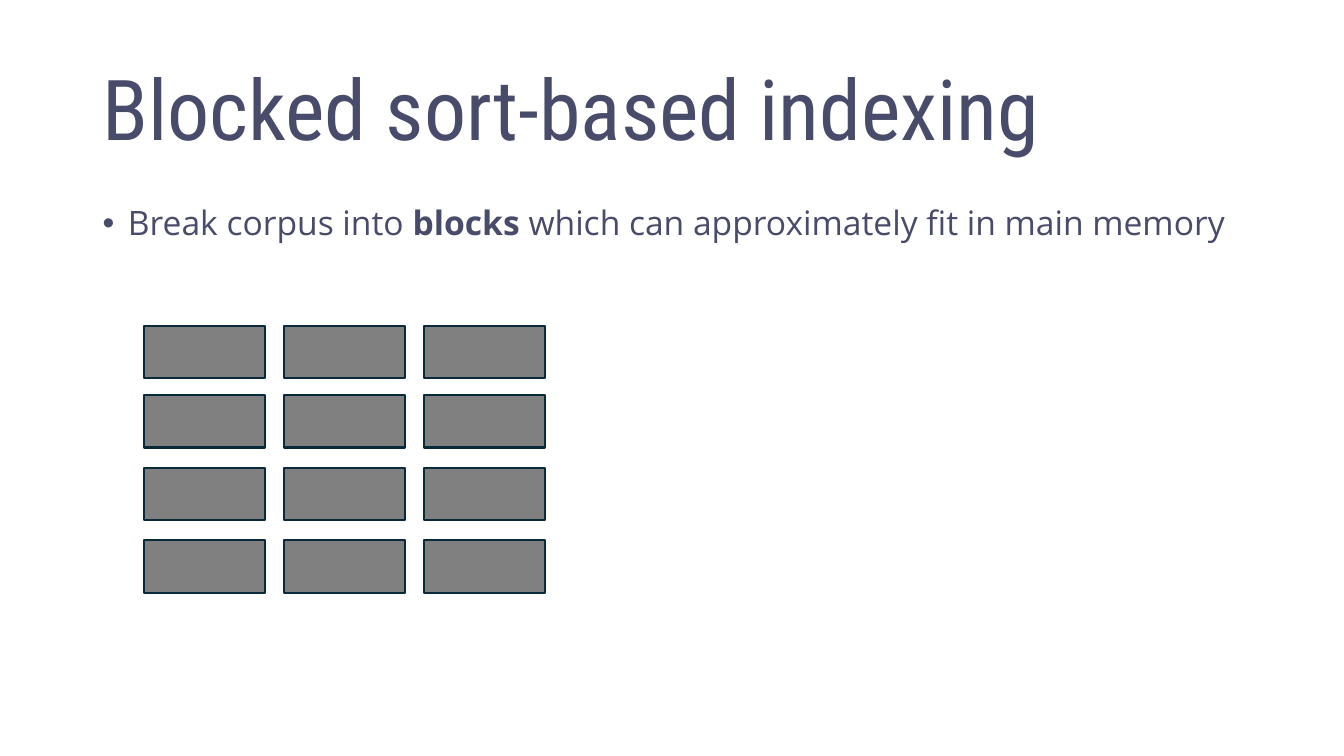
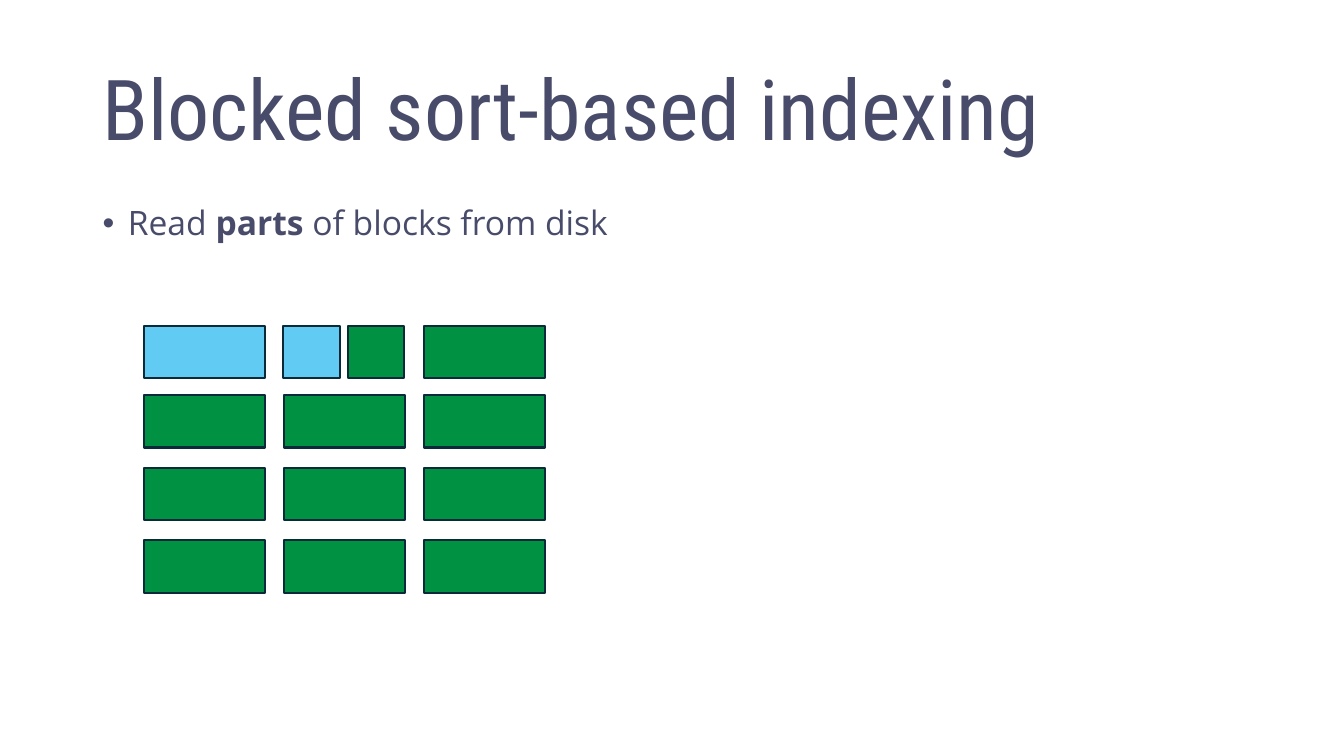
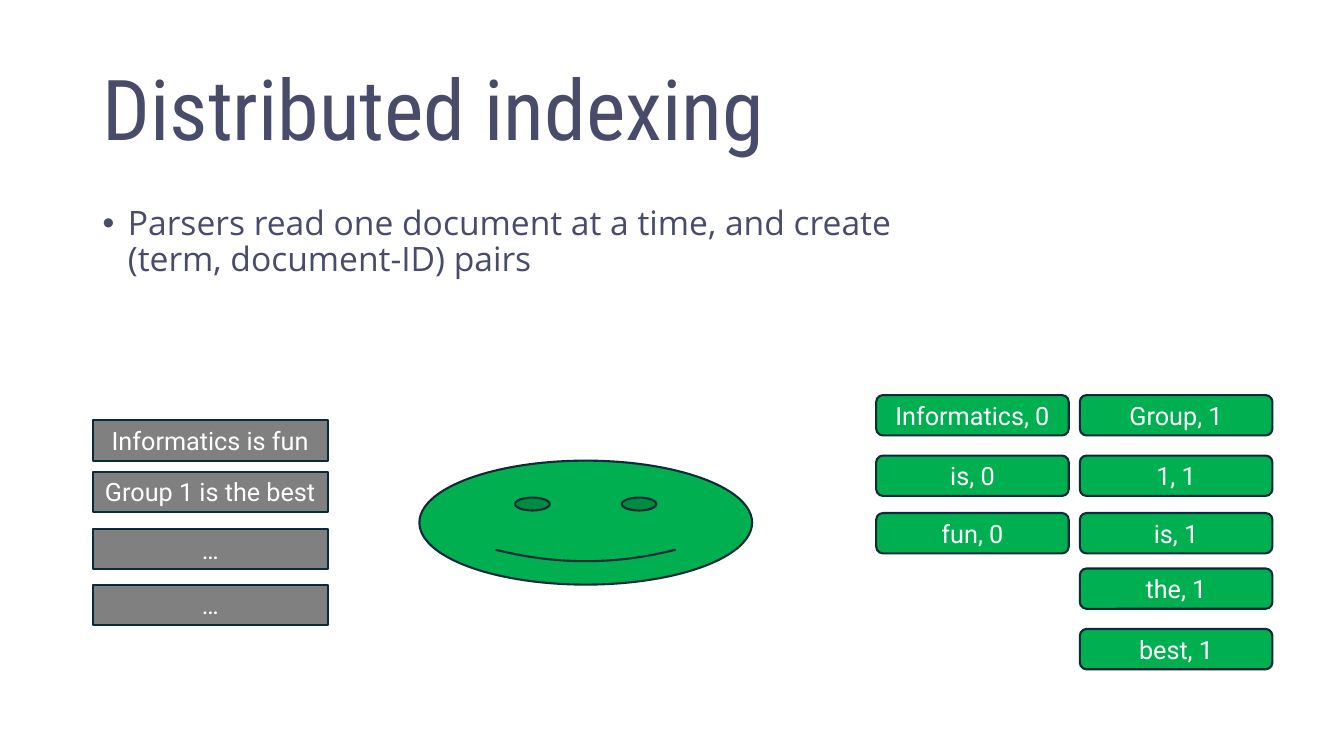
import dataclasses

import pptx
import pptx.dml.color
import pptx.enum.shapes
import pptx.enum.text
import pptx.oxml.ns
import pptx.util
from lxml import etree

PX = 9144
SHAPE = pptx.enum.shapes.MSO_SHAPE
ALIGN = pptx.enum.text.PP_ALIGN
ANCHOR = pptx.enum.text.MSO_ANCHOR


@dataclasses.dataclass(frozen=True)
class Theme:
    ink: str = "484B6A"
    outline: str = "092A39"
    gray: str = "808080"
    green: str = "009242"
    bright_green: str = "00B050"
    blue: str = "61CBF4"
    white: str = "FFFFFF"
    title_font: str = "Roboto Condensed"
    body_font: str = "Open Sans"
    label_font: str = "Roboto"
    title_size: int = 60
    body_size: int = 24
    label_size: int = 18
    outline_width: float = 1.5


THEME = Theme()

BLOCK_LEFTS = [143 + 139 * column for column in range(3)]
BLOCK_TOPS = (323, 392, 464, 536)
BLOCK_WIDTH, BLOCK_HEIGHT = 120, 52
PART_WIDTH = 56
LABEL_HEIGHT = 40


def px(length):
    return pptx.util.Emu(length * PX)


def rgb(color):
    return pptx.dml.color.RGBColor.from_string(color)


def write(frame, text, *, font, size, color, align=ALIGN.LEFT,
          anchor=ANCHOR.TOP, line_spacing=None, space_before=None, bullet=False):
    """Write text into a frame; asterisks enclose bold passages."""
    frame.word_wrap = True
    frame.vertical_anchor = anchor
    paragraph = frame.paragraphs[0]
    paragraph.alignment = align
    if line_spacing is not None:
        paragraph.line_spacing = line_spacing
    if space_before is not None:
        paragraph.space_before = pptx.util.Pt(space_before)
    if bullet:
        properties = paragraph._p.get_or_add_pPr()
        properties.set("marL", str(px(25)))
        properties.set("indent", str(-px(25)))
        qn = pptx.oxml.ns.qn
        etree.SubElement(properties, qn("a:buFont"), typeface="Arial")
        etree.SubElement(properties, qn("a:buChar"), char="•")
    for index, passage in enumerate(text.split("*")):
        for line_number, line in enumerate(passage.split("\n")):
            if line_number:
                paragraph.add_line_break()
            run = paragraph.add_run()
            run.text = line
            run.font.name = font
            run.font.size = pptx.util.Pt(size)
            run.font.bold = index % 2 == 1
            run.font.color.rgb = rgb(color)


class Deck:
    def __init__(self, theme):
        self.theme = theme
        self.presentation = pptx.Presentation()
        self.presentation.slide_width = px(1333)
        self.presentation.slide_height = px(750)
        self.slide = None

    def add_slide(self, title, point):
        theme = self.theme
        blank = self.presentation.slide_layouts[6]
        self.slide = self.presentation.slides.add_slide(blank)
        self.text(92, 40, 1150, 145, title, font=theme.title_font,
                  size=theme.title_size, anchor=ANCHOR.MIDDLE)
        self.text(92, 200, 1150, 530, point, font=theme.body_font,
                  size=theme.body_size, space_before=10, bullet=True)

    def text(self, left, top, width, height, text, **style):
        box = self.slide.shapes.add_textbox(px(left), px(top), px(width), px(height))
        write(box.text_frame, text, color=self.theme.ink, line_spacing=0.9, **style)

    def shape(self, left, top, width, height, fill, kind=SHAPE.RECTANGLE, label=None):
        theme = self.theme
        shape = self.slide.shapes.add_shape(
            kind, px(left), px(top), px(width), px(height))
        shape.shadow.inherit = False
        shape.fill.solid()
        shape.fill.fore_color.rgb = rgb(fill)
        shape.line.color.rgb = rgb(theme.outline)
        shape.line.width = pptx.util.Pt(theme.outline_width)
        if label:
            write(shape.text_frame, label, font=theme.label_font,
                  size=theme.label_size, color=theme.white,
                  align=ALIGN.CENTER, anchor=ANCHOR.MIDDLE)

    def blocks(self, fill, skip=()):
        for column, left in enumerate(BLOCK_LEFTS):
            for row, top in enumerate(BLOCK_TOPS):
                if (column, row) not in skip:
                    self.shape(left, top, BLOCK_WIDTH, BLOCK_HEIGHT, fill)

    def labels(self, left, width, tops, labels, fill, kind=SHAPE.RECTANGLE):
        for top, label in zip(tops, labels):
            self.shape(left, top, width, LABEL_HEIGHT, fill, kind, label)


def block_slides(deck):
    theme = deck.theme
    title = "Blocked sort-based indexing"
    deck.add_slide(title, "Break corpus into *blocks *which can approximately fit in main memory")
    deck.blocks(theme.gray)

    deck.add_slide(title, "Read *parts *of blocks from disk")
    deck.blocks(theme.green, skip={(0, 0), (1, 0)})
    top = BLOCK_TOPS[0]
    deck.shape(BLOCK_LEFTS[0], top, BLOCK_WIDTH, BLOCK_HEIGHT, theme.blue)
    for left, fill in ((281, theme.blue), (345, theme.green)):
        deck.shape(left, top, PART_WIDTH, BLOCK_HEIGHT, fill)


def parser_slide(deck):
    theme = deck.theme
    deck.add_slide(
        "Distributed indexing",
        "Parsers read one document at a time, and create\n(term, document-ID) pairs")
    documents = ("Informatics is fun", "Group 1 is the best", "…", "…")
    deck.labels(92, 233, (417, 468, 525, 580), documents, theme.gray)
    deck.shape(416, 457, 330, 123, theme.bright_green, SHAPE.SMILEY_FACE)

    pair_tops = (392, 452, 509, 564, 624)
    pair_columns = (
        (869, ("Informatics, 0", "is, 0", "fun, 0")),
        (1071, ("Group, 1", "1, 1", "is, 1", "the, 1", "best, 1")),
    )
    for left, pairs in pair_columns:
        deck.labels(left, 191, pair_tops, pairs, theme.bright_green,
                    SHAPE.ROUNDED_RECTANGLE)


def main():
    deck = Deck(THEME)
    block_slides(deck)
    parser_slide(deck)
    deck.presentation.save("out.pptx")


if __name__ == "__main__":
    main()
